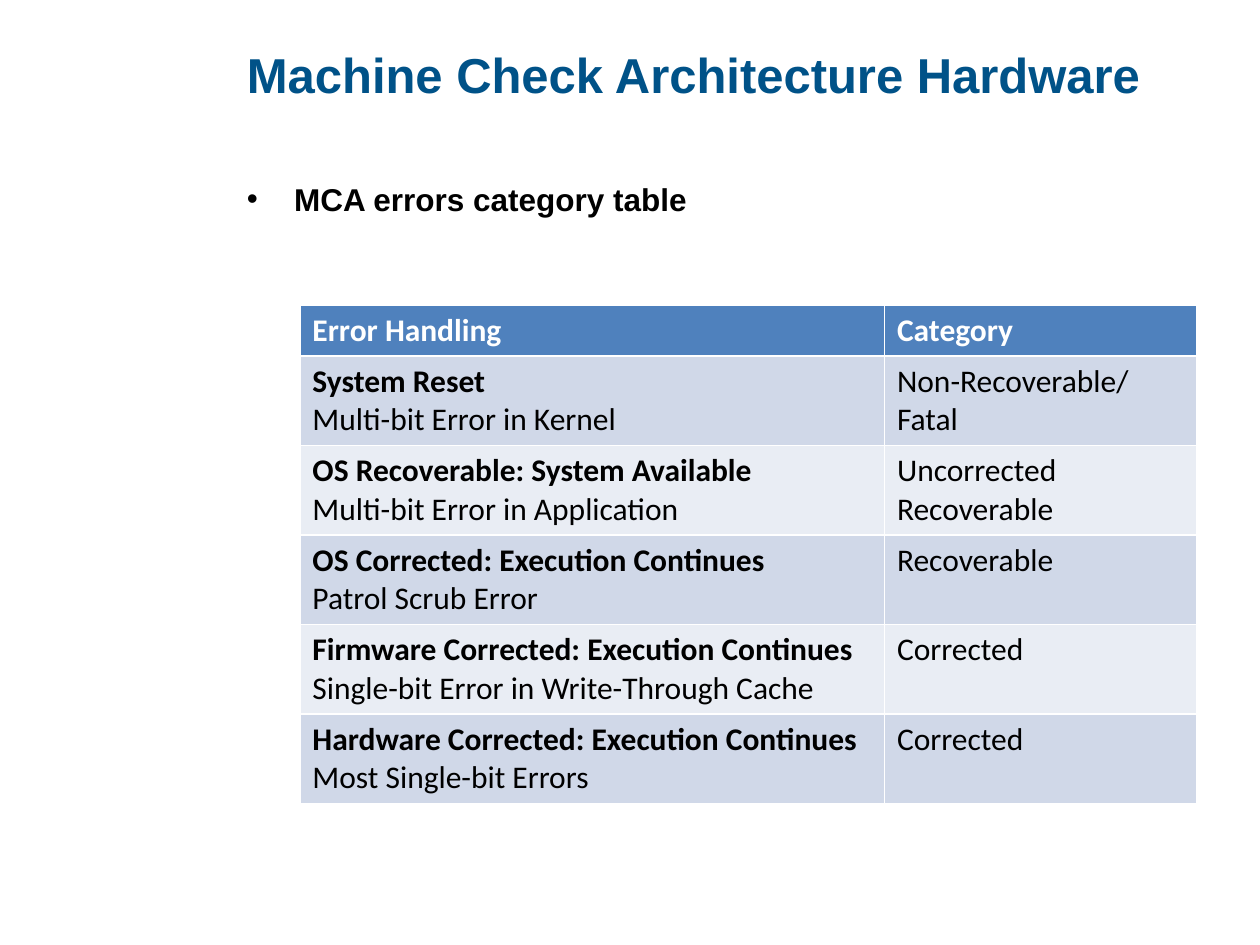
import pptx
import pptx.util
import pptx.dml.color
import pptx.enum.text

RGBColor = pptx.dml.color.RGBColor
Inches = pptx.util.Inches
Pt = pptx.util.Pt

TITLE_BLUE = RGBColor(0x00, 0x52, 0x88)
HEADER_BLUE = RGBColor(0x4F, 0x81, 0xBD)
BAND_DARK = RGBColor(0xD0, 0xD8, 0xE8)
BAND_LIGHT = RGBColor(0xE9, 0xED, 0xF4)
BLACK = RGBColor(0x00, 0x00, 0x00)
WHITE = RGBColor(0xFF, 0xFF, 0xFF)

LEFT, WIDTH = 1.86, 7.64
TABLE_LEFT, TABLE_TOP = 2.38, 2.42
COLUMN_WIDTHS = (4.64, 2.48)
HEADER_HEIGHT, ROW_HEIGHT = 0.4, 0.71

HEADINGS = ("Error Handling", "Category")
ERRORS = (
    ("System Reset", "Multi-bit Error in Kernel", "Non-Recoverable/Fatal"),
    ("OS Recoverable: System Available", "Multi-bit Error in Application",
     "Uncorrected Recoverable"),
    ("OS Corrected: Execution Continues", "Patrol Scrub Error", "Recoverable"),
    ("Firmware Corrected: Execution Continues",
     "Single-bit Error in Write-Through Cache", "Corrected"),
    ("Hardware Corrected: Execution Continues", "Most Single-bit Errors",
     "Corrected"),
)


def style(paragraph, font_name, size, color, bold):
    font = paragraph.font
    font.name, font.size, font.bold = font_name, Pt(size), bold
    font.color.rgb = color


def fill_placeholder(placeholder, text, top, height, size, color):
    placeholder.left, placeholder.top = Inches(LEFT), Inches(top)
    placeholder.width, placeholder.height = Inches(WIDTH), Inches(height)
    frame = placeholder.text_frame
    frame.text = text
    frame.auto_size = pptx.enum.text.MSO_AUTO_SIZE.NONE
    frame.vertical_anchor = pptx.enum.text.MSO_ANCHOR.TOP
    paragraph = frame.paragraphs[0]
    paragraph.alignment = pptx.enum.text.PP_ALIGN.LEFT
    style(paragraph, "Arial", size, color, True)


def fill_cell(cell, lines, background, color, bold_first):
    cell.fill.solid()
    cell.fill.fore_color.rgb = background
    cell.text = "\n".join(lines)
    for index, paragraph in enumerate(cell.text_frame.paragraphs):
        style(paragraph, "Calibri", 18, color, bold_first and index == 0)


def add_error_table(slide):
    table = slide.shapes.add_table(
        len(ERRORS) + 1, len(HEADINGS), Inches(TABLE_LEFT), Inches(TABLE_TOP),
        Inches(sum(COLUMN_WIDTHS)),
        Inches(HEADER_HEIGHT + ROW_HEIGHT * len(ERRORS))).table
    for column, width in zip(table.columns, COLUMN_WIDTHS):
        column.width = Inches(width)
    for index, row in enumerate(table.rows):
        row.height = Inches(ROW_HEIGHT if index else HEADER_HEIGHT)

    # Header row
    for column, heading in enumerate(HEADINGS):
        fill_cell(table.cell(0, column), [heading], HEADER_BLUE, WHITE, True)

    # Banded rows: handling with an example, then the category
    for row, (handling, example, category) in enumerate(ERRORS, start=1):
        band = BAND_DARK if row % 2 else BAND_LIGHT
        fill_cell(table.cell(row, 0), [handling, example], band, BLACK, True)
        fill_cell(table.cell(row, 1), [category], band, BLACK, False)


def main():
    deck = pptx.Presentation()
    deck.slide_width, deck.slide_height = Inches(10), Inches(7.5)
    slide = deck.slides.add_slide(deck.slide_layouts[1])
    fill_placeholder(slide.shapes.title, "Machine Check Architecture Hardware",
                     0.3, 1.25, 28, TITLE_BLUE)
    fill_placeholder(slide.placeholders[1], "MCA errors category table",
                     1.38, 0.73, 18, BLACK)
    add_error_table(slide)
    deck.save("out.pptx")


if __name__ == "__main__":
    main()
